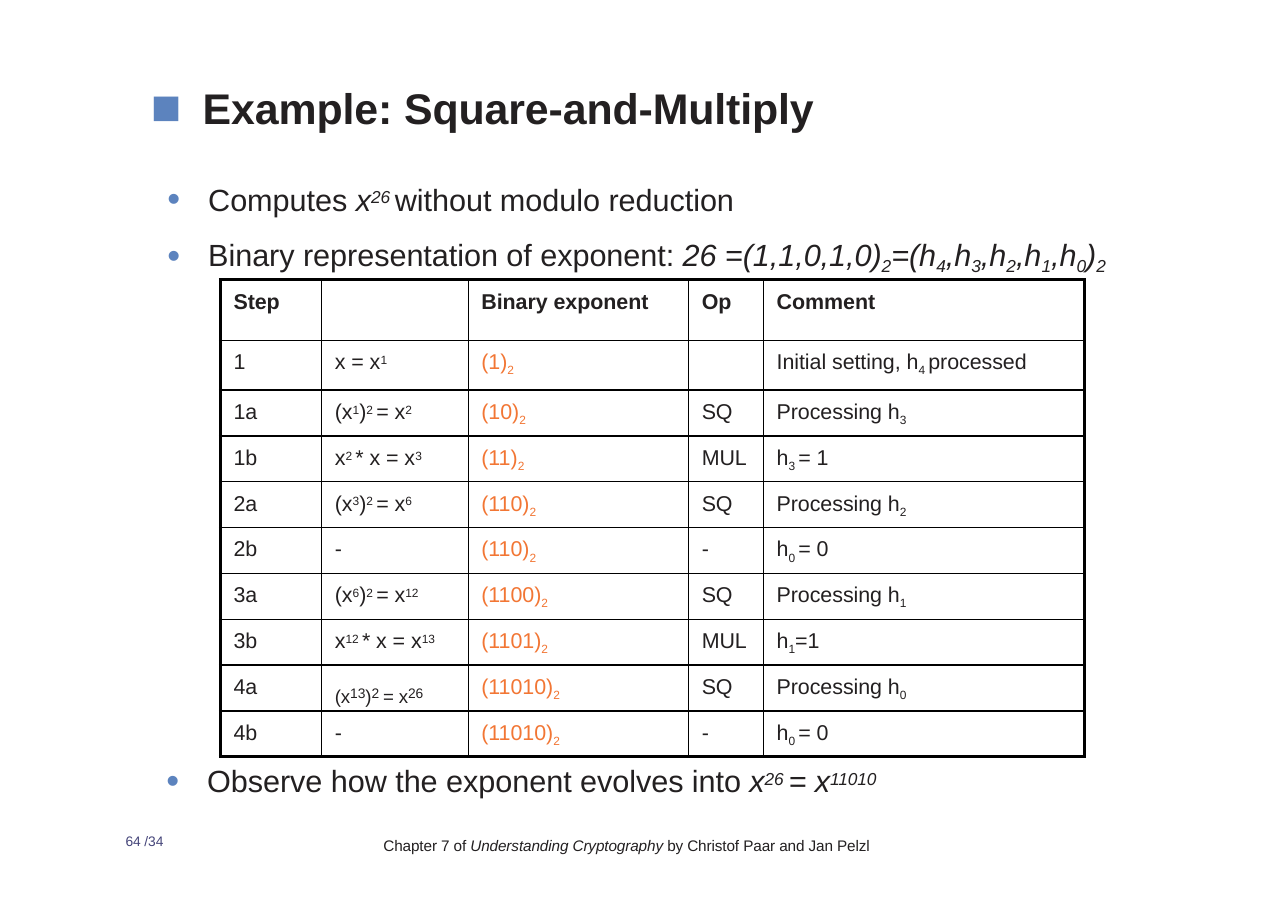
from dataclasses import dataclass, replace

from lxml.etree import SubElement
from pptx import Presentation
from pptx.dml.color import RGBColor
from pptx.enum.text import MSO_ANCHOR, MSO_AUTO_SIZE, PP_ALIGN
from pptx.oxml.ns import qn
from pptx.util import Inches, Pt

INK = RGBColor(0x23, 0x20, 0x21)
ORANGE = RGBColor(0xF2, 0x76, 0x34)
VIOLET = RGBColor(0x44, 0x44, 0x79)
BULLET_BLUE = RGBColor(0x5C, 0x83, 0xBE)
BLACK = RGBColor(0, 0, 0)


@dataclass(frozen=True)
class Style:
    size: float
    script_size: float = 0
    raised: int = 25
    lowered: int = -25
    color: RGBColor = INK
    bold: bool = False


@dataclass(frozen=True)
class Bullet:
    symbol: str
    percent: int
    indent: float
    hanging: float


@dataclass(frozen=True)
class Line:
    text: str
    style: Style
    bullet: Bullet | None = None
    space_before: float = 0


@dataclass(frozen=True)
class TextArea:
    left: float
    top: float
    width: float
    height: float
    lines: tuple[Line, ...]


# Spans are parted by "|"; a leading ^ raises, _ lowers, / starts and ~ ends italics
TITLE = Style(28, bold=True)
BODY = Style(20, 19.5, raised=26, lowered=-21)
CELL = Style(14, 13.5)
HEADER = replace(CELL, bold=True)
EXPONENT = replace(CELL, color=ORANGE)
LOWERED = Style(9, 21, lowered=-16)

SQUARE = Bullet("■", 118, 0.49, 0.47)
DOT = Bullet("•", 120, 0.54, 0.37)

TITLE_LINE = Line("Example: Square-and-Multiply", TITLE, SQUARE)
TEXT_AREAS = (
    TextArea(1.35, 1.64, 8.8, 0.85, (
        Line("Computes |/x|^26 |~without modulo reduction", BODY, DOT),
        Line("Binary representation of exponent: |/26 =(1,1,0,1,0)|_2|=(h|_4|,h|_3"
             "|,h|_2|,h|_1|,h|_0|)|_2", BODY, DOT, 12.2),
    )),
    TextArea(1.5, 6.92, 6.65, 0.36, (
        Line("Observe how the exponent evolves into |/x|^26 |= x|^11010", BODY,
             replace(DOT, indent=0.38)),
    )),
    TextArea(1.14, 7.56, 0.5, 0.17, (Line("64 /34", Style(9, color=VIOLET)),)),
    TextArea(3.48, 7.59, 4.6, 0.18, (
        Line("Chapter 7 of |/Understanding Cryptography |~by Christof Paar and Jan Pelzl",
             Style(10)),
    )),
)

TABLE_LEFT, TABLE_TOP, TABLE_HEIGHT = 2, 2.54, 4.33
COLUMN_WIDTHS = (0.92, 1.33, 2, 0.68, 2.91)
TOP_ROW_HEIGHTS = (0.55, 0.45)
EXPONENT_COLUMN = 2
STEPS = (
    ("Step", "", "Binary exponent", "Op", "Comment"),
    ("1", "x = x|^1", "(1)|_2", "", "Initial setting, h|_4 |processed"),
    ("1a", "(x|^1|)|^2 |= x|^2", "(10)|_2", "SQ", "Processing h|_3"),
    ("1b", "x|^2 |* x = x|^3", "(11)|_2", "MUL", "h|_3 |= 1"),
    ("2a", "(x|^3|)|^2 |= x|^6", "(110)|_2", "SQ", "Processing h|_2"),
    ("2b", "-", "(110)|_2", "-", "h|_0 |= 0"),
    ("3a", "(x|^6|)|^2 |= x|^12", "(1100)|_2", "SQ", "Processing h|_1"),
    ("3b", "x|^12 |* x = x|^13", "(1101)|_2", "MUL", "h|_1|=1"),
    ("4a", "_(x|13|_)|2 |_= x|26", "(11010)|_2", "SQ", "Processing h|_0"),
    ("4b", "-", "(11010)|_2", "-", "h|_0 |= 0"),
)


def add_bullet(para, bullet: Bullet) -> None:
    properties = para._p.get_or_add_pPr()
    properties.set("marL", str(Inches(bullet.indent)))
    properties.set("indent", str(-Inches(bullet.hanging)))
    color = SubElement(properties, qn("a:buClr"))
    SubElement(color, qn("a:srgbClr"), val=str(BULLET_BLUE))
    SubElement(properties, qn("a:buSzPct"), val=str(bullet.percent * 1000))
    SubElement(properties, qn("a:buFont"), typeface="Arial")
    SubElement(properties, qn("a:buChar"), char=bullet.symbol)


def write_spans(para, text: str, style: Style) -> None:
    italic = False
    for piece in text.split("|"):
        mark = piece[0] if piece[0] in "^_/~" else ""
        if mark in ("/", "~"):
            italic = mark == "/"
        span = para.add_run()
        span.text = piece[len(mark):]
        font = span.font
        font.name, font.bold, font.italic = "Arial", style.bold, italic
        font.color.rgb = style.color
        font.size = Pt(style.size)
        properties = font._element
        properties.set("spc", "-5")
        if mark in ("^", "_"):
            font.size = Pt(style.script_size)
            shift = style.raised if mark == "^" else style.lowered
            properties.set("baseline", str(shift * 1000))


def write_line(para, line: Line) -> None:
    if line.bullet:
        add_bullet(para, line.bullet)
    para.alignment = PP_ALIGN.LEFT
    if line.space_before:
        para.space_before = Pt(line.space_before)
    write_spans(para, line.text, line.style)


def prepare_frame(frame) -> None:
    frame.margin_left = frame.margin_right = frame.margin_top = frame.margin_bottom = 0
    frame.word_wrap = True
    frame.auto_size = MSO_AUTO_SIZE.NONE
    frame.vertical_anchor = MSO_ANCHOR.TOP


def add_title(page) -> None:
    title = page.shapes.title
    title.left, title.top = Inches(1.35), Inches(0.71)
    title.width, title.height = Inches(8.8), Inches(0.5)
    prepare_frame(title.text_frame)
    para = title.text_frame.paragraphs[0]
    write_line(para, TITLE_LINE)
    para.line_spacing = Pt(35.9)


def add_text_area(page, area: TextArea) -> None:
    box = page.shapes.add_textbox(
        Inches(area.left), Inches(area.top), Inches(area.width), Inches(area.height))
    frame = box.text_frame
    prepare_frame(frame)
    for index, line in enumerate(area.lines):
        write_line(frame.add_paragraph() if index else frame.paragraphs[0], line)


def add_border(cell, side: str, width: float) -> None:
    border = SubElement(cell._tc.get_or_add_tcPr(), qn(f"a:ln{side}"), w=str(Pt(width)))
    fill = SubElement(border, qn("a:solidFill"))
    SubElement(fill, qn("a:srgbClr"), val=str(BLACK))


def cell_style(row: int, column: int, text: str) -> Style:
    if row == 0:
        return HEADER
    if column == EXPONENT_COLUMN:
        return EXPONENT
    return LOWERED if text.startswith("_") else CELL


def add_steps_table(page) -> None:
    last_row, last_column = len(STEPS) - 1, len(COLUMN_WIDTHS) - 1
    table = page.shapes.add_table(
        len(STEPS), len(COLUMN_WIDTHS), Inches(TABLE_LEFT), Inches(TABLE_TOP),
        Inches(sum(COLUMN_WIDTHS)), Inches(TABLE_HEIGHT)).table
    table.first_row = table.horz_banding = False
    for column, width in zip(table.columns, COLUMN_WIDTHS):
        column.width = Inches(width)
    step_count = len(STEPS) - len(TOP_ROW_HEIGHTS)
    step_height = (TABLE_HEIGHT - sum(TOP_ROW_HEIGHTS)) / step_count
    for row, height in zip(table.rows, TOP_ROW_HEIGHTS + (step_height,) * step_count):
        row.height = Inches(height)

    for row, texts in enumerate(STEPS):
        for column, text in enumerate(texts):
            cell = table.cell(row, column)
            style = cell_style(row, column, text)
            cell.margin_left = Inches(0.12)
            cell.margin_right = cell.margin_bottom = 0
            cell.margin_top = Inches(0.04 if style is LOWERED else 0.09)
            outer = {"L": column == 0, "R": column == last_column,
                     "T": row == 0, "B": row == last_row}
            for side, is_outer in outer.items():
                add_border(cell, side, 2.25 if is_outer else 1)
            cell.fill.background()
            if text:
                write_spans(cell.text_frame.paragraphs[0], text, style)


def main() -> None:
    deck = Presentation()
    deck.slide_width, deck.slide_height = Inches(11.69), Inches(8.26)
    page = deck.slides.add_slide(deck.slide_layouts[5])
    add_title(page)
    for area in TEXT_AREAS:
        add_text_area(page, area)
    add_steps_table(page)
    deck.save("out.pptx")


if __name__ == "__main__":
    main()
